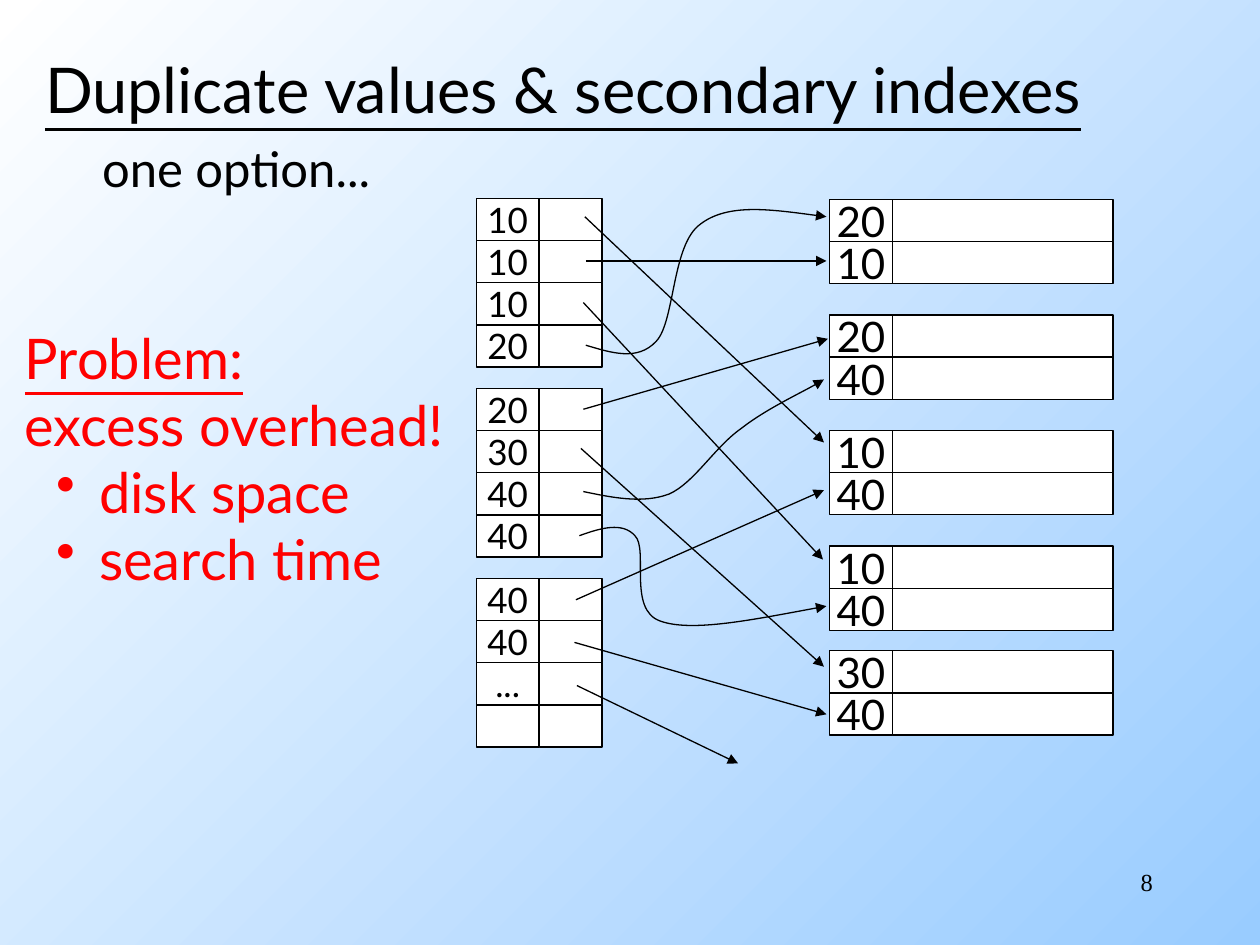
"""Build the slide on duplicate values in secondary indexes."""
from dataclasses import dataclass
from typing import Any

from lxml import etree
from pptx import Presentation
from pptx import util as u
from pptx.dml import color
from pptx.enum import shapes, text
from pptx.oxml import ns

HUES = {"ink": "000000", "paper": "FFFFFF", "alert": "FF0000", "sky": "99CCFF"}
FONT = "Lato"
ROW, KEY = 0.85, 1.27


@dataclass
class Block:
    """A stack of rows, each with a key cell and an empty cell."""
    left: float
    top: float
    wide: float
    size: int
    keys: list[str]


@dataclass
class Label:
    """A text box with one style."""
    box: tuple[float, float, float, float]
    lines: list[str]
    size: int
    hue: str = "ink"
    font: str = FONT
    align: Any = text.PP_ALIGN.LEFT
    anchor: Any = text.MSO_ANCHOR.MIDDLE
    under: bool = False
    points: int = 0


INDEX = [["10", "10", "10", "20"], ["20", "30", "40", "40"], ["40", "40", "...", ""]]
FILE = [(4.02, ["20", "10"]), (6.35, ["20", "40"]), (8.68, ["10", "40"]),
        (11.01, ["10", "40"]), (13.12, ["30", "40"])]
BLOCKS = [Block(16.72, top, 4.45, 24, keys) for top, keys in FILE]
BLOCKS += [Block(9.6, 4 + 3.83 * i, KEY, 20, keys) for i, keys in enumerate(INDEX)]

ARROWS = [
    (11.81, 5.26, 16.66, 5.26), (11.79, 4.37, 16.61, 8.92),
    (11.76, 6.1, 16.59, 11.28), (11.76, 8.25, 16.69, 6.83),
    (11.71, 9.04, 16.61, 13.44), (11.58, 12.95, 16.66, 14.4),
    (11.61, 12.09, 16.61, 9.88), (11.63, 13.82, 14.88, 15.39),
]
CURVES = [
    [(11.81, 6.96), (12.32, 7.11), (12.85, 7.29), (13.23, 6.88), (13.61, 6.48),
     (13.54, 4.93), (14.12, 4.52), (14.68, 4.09), (15.67, 4.24), (16.66, 4.37)],
    [(11.76, 9.91), (12.34, 10.03), (12.95, 10.16), (13.49, 9.96), (14, 9.73),
     (14.4, 9.02), (14.94, 8.64), (15.44, 8.25), (16.36, 7.82), (16.61, 7.65)],
    [(11.68, 10.8), (12.12, 10.64), (12.55, 10.52), (12.8, 10.8), (13.08, 11.07),
     (12.65, 12.29), (13.31, 12.52), (13.94, 12.75), (15.29, 12.47), (16.66, 12.22)],
]
LABELS = [
    Label((0.66, 0.53, 22.02, 2.51), ["Duplicate values & secondary indexes"], 36,
          under=True),
    Label((1.6, 2.67, 6.32, 1.45), ["one option..."], 28, align=text.PP_ALIGN.CENTER),
    Label((0.25, 6.38, 9.63, 5.69),
          ["Problem:", "excess overhead!", "disk space", "search time"], 32,
          hue="alert", under=True, points=2),
    Label((18.21, 17.35, 5.28, 1.27), ["8"], 14, font="Times New Roman",
          align=text.PP_ALIGN.RIGHT, anchor=text.MSO_ANCHOR.TOP),
]


def rgb(hue: str) -> color.RGBColor:
    """Look up a colour by name."""
    return color.RGBColor.from_string(HUES[hue])


def write(para: Any, words: str, size: int, hue: str = "ink", font: str = FONT) -> Any:
    """Add one styled run and return it."""
    run = para.add_run()
    run.text = words
    run.font.size, run.font.name = u.Pt(size), font
    run.font.color.rgb = rgb(hue)
    return run


def stroke(item: Any) -> None:
    """Give a shape or line the thin dark outline."""
    item.line.color.rgb = rgb("ink")
    item.line.width = u.Pt(0.75)


def point(item: Any) -> None:
    """Outline a line and put an arrowhead at its end."""
    stroke(item)
    edge = item.line._get_or_add_ln()
    etree.SubElement(edge, ns.qn("a:tailEnd"), type="triangle")


def cell(slide: Any, left: float, top: float, wide: float, words: str, size: int) -> None:
    """Draw one white cell."""
    box = slide.shapes.add_shape(shapes.MSO_SHAPE.RECTANGLE, u.Cm(left), u.Cm(top),
                                 u.Cm(wide), u.Cm(ROW))
    box.shadow.inherit = False
    box.fill.solid()
    box.fill.fore_color.rgb = rgb("paper")
    stroke(box)
    if words:
        frame = box.text_frame
        frame.word_wrap = False
        frame.vertical_anchor = text.MSO_ANCHOR.MIDDLE
        frame.paragraphs[0].alignment = text.PP_ALIGN.CENTER
        write(frame.paragraphs[0], words, size)


def stack(slide: Any, block: Block) -> None:
    """Draw all rows of a block."""
    for i, key in enumerate(block.keys):
        top = block.top + i * ROW
        cell(slide, block.left, top, KEY, key, block.size)
        cell(slide, block.left + KEY, top, block.wide, "", block.size)


def arrow(slide: Any, ends: tuple[float, float, float, float]) -> None:
    """Draw a straight arrow."""
    line = slide.shapes.add_connector(shapes.MSO_CONNECTOR.STRAIGHT, *map(u.Cm, ends))
    point(line)
    etree.SubElement(line._element.spPr, ns.qn("a:effectLst"))


def curve(slide: Any, spots: list[tuple[float, float]]) -> None:
    """Draw a curved arrow from a start and triples of Bezier points."""
    first, *rest = [(u.Cm(x), u.Cm(y)) for x, y in spots]
    maker = slide.shapes.build_freeform(*first)
    maker.add_line_segments(rest, close=False)
    bend = maker.convert_to_shape()
    bend.shadow.inherit = False
    bend.fill.background()
    point(bend)
    route = bend._element.xpath(".//a:path")[0]
    legs = route.findall(ns.qn("a:lnTo"))
    for i in range(0, len(legs), 3):
        arc = etree.SubElement(route, ns.qn("a:cubicBezTo"))
        for leg in legs[i:i + 3]:
            arc.append(leg[0])
            route.remove(leg)


def bullet(para: Any) -> None:
    """Set a hanging bullet."""
    props = para._p.get_or_add_pPr()
    props.set("marL", str(u.Cm(1.5)))
    props.set("indent", str(u.Cm(-0.87)))
    etree.SubElement(props, ns.qn("a:buChar"), char="•")


def label(slide: Any, item: Label) -> None:
    """Draw a text box."""
    frame = slide.shapes.add_textbox(*map(u.Cm, item.box)).text_frame
    frame.word_wrap = True
    frame.vertical_anchor = item.anchor
    for i, words in enumerate(item.lines):
        para = frame.add_paragraph() if i else frame.paragraphs[0]
        para.alignment = item.align
        run = write(para, words, item.size, item.hue, item.font)
        if i == 0 and item.under:
            run.font.underline = True
        if i >= len(item.lines) - item.points:
            bullet(para)


def main() -> None:
    """Build and save the slide."""
    deck = Presentation()
    deck.slide_width, deck.slide_height = u.Cm(25.4), u.Cm(19.05)
    slide = deck.slides.add_slide(deck.slide_layouts[6])
    fill = slide.background.fill
    fill.gradient()
    fill.gradient_angle = 315
    for stop, hue in zip(fill.gradient_stops, ("paper", "sky")):
        stop.color.rgb = rgb(hue)
    for draw, items in ((stack, BLOCKS), (arrow, ARROWS), (curve, CURVES), (label, LABELS)):
        for item in items:
            draw(slide, item)
    deck.save("out.pptx")


if __name__ == "__main__":
    main()
